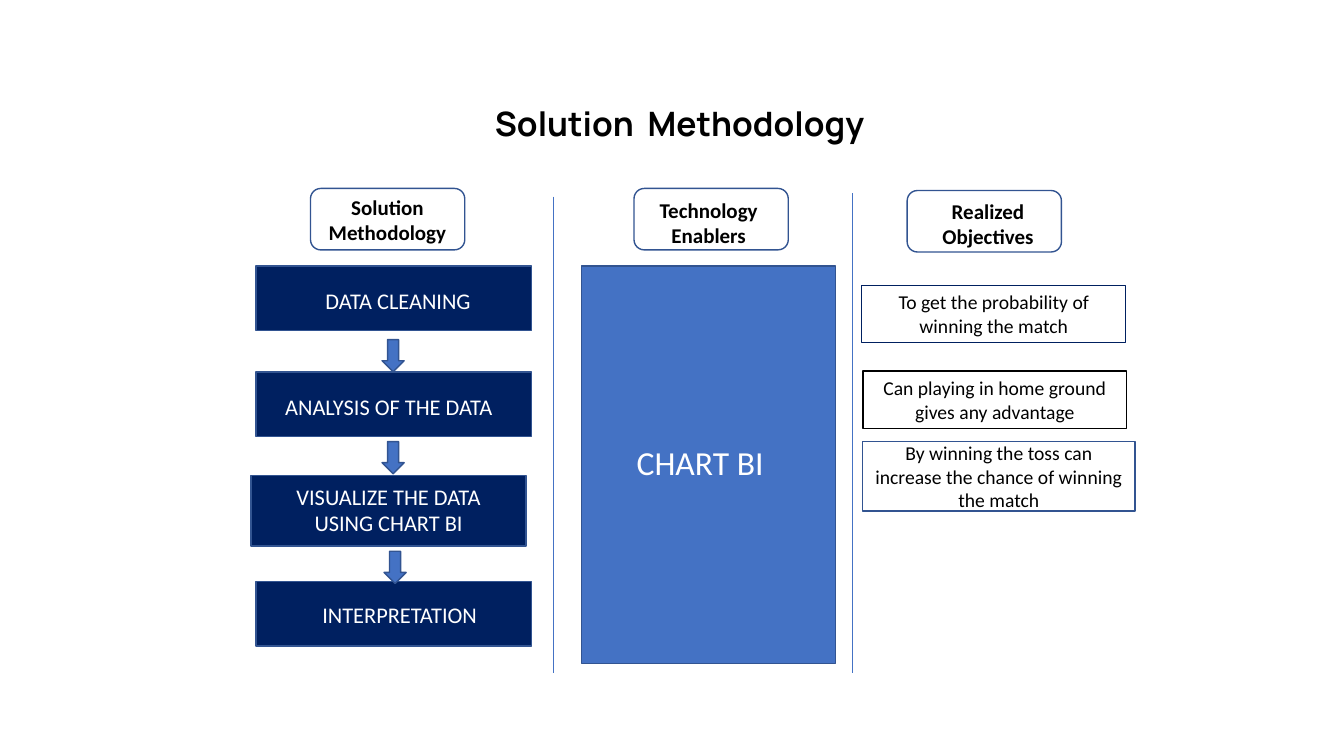
from lxml.etree import SubElement
from pptx import Presentation
from pptx.dml.color import RGBColor
from pptx.enum.shapes import MSO_CONNECTOR, MSO_SHAPE
from pptx.enum.text import MSO_ANCHOR, PP_ALIGN
from pptx.oxml.ns import qn
from pptx.util import Pt

WHITE = RGBColor(0xFF, 0xFF, 0xFF)
BLACK = RGBColor(0x00, 0x00, 0x00)
NAVY = RGBColor(0x00, 0x20, 0x60)
BLUE = RGBColor(0x44, 0x72, 0xC4)
OUTLINE = RGBColor(0x32, 0x54, 0x91)

HEADERS = [
    ("Solution Methodology", (221.8, 134.6), (226.8, 135.4, 100)),
    ("Technology Enablers", (452.9, 134.6), (457.2, 137.5, 98)),
    ("Realized Objectives", (648, 136.1), (655.2, 138.2, 101)),
]
STEPS = [
    ("DATA CLEANING", (182.9, 190.1, 46.1), (225.4, 201.6, 126), PP_ALIGN.LEFT),
    ("ANALYSIS OF THE DATA", (182.9, 265.7, 46.1), (196.6, 277.2, 166.3), PP_ALIGN.LEFT),
    ("VISUALIZE THE DATA USING CHART BI", (179.3, 339.8, 50.4), (194.4, 341.3, 166.3), PP_ALIGN.CENTER),
    ("INTERPRETATION", (182.9, 415.4, 46.1), (202.3, 425.5, 166.3), PP_ALIGN.CENTER),
]
ARROWS = [(272.9, 242.6), (272.9, 315.4), (274.3, 393.8)]
OBJECTIVES = [
    ("To get the probability of winning the match",
     (615.6, 203.8, 188.6, 41), NAVY, 0.75, MSO_ANCHOR.TOP),
    ("Can playing in home ground gives any advantage",
     (616.3, 265, 188.6, 41), BLACK, 1, MSO_ANCHOR.TOP),
    ("By winning the toss can increase the chance of winning the match",
     (616.3, 315.4, 194.4, 49.7), OUTLINE, 1, MSO_ANCHOR.MIDDLE),
]
DIVIDERS = [(395.3, 140.4), (609.1, 138.2)]
DIVIDER_BOTTOM = 481


def style_run(run, size, color, font="Calibri", bold=False):
    run.font.name = font
    run.font.size = Pt(size)
    run.font.color.rgb = color
    run.font.bold = bold


def write_text(frame, text, size, color, align=PP_ALIGN.CENTER, bold=False):
    frame.word_wrap = True
    frame.text = text
    paragraph = frame.paragraphs[0]
    paragraph.alignment = align
    style_run(paragraph.runs[0], size, color, bold=bold)


def add_block(slide, kind, bounds, fill=None, line=OUTLINE, weight=1):
    block = slide.shapes.add_shape(kind, *map(Pt, bounds))
    block.shadow.inherit = False
    if fill is None:
        block.fill.background()
    else:
        block.fill.solid()
        block.fill.fore_color.rgb = fill
    block.line.color.rgb = line
    block.line.width = Pt(weight)
    return block


def add_label(slide, bounds, text, size, color, align=PP_ALIGN.CENTER, bold=False):
    label = slide.shapes.add_textbox(*map(Pt, bounds))
    write_text(label.text_frame, text, size, color, align, bold)


def add_title(slide):
    title = slide.shapes.add_textbox(Pt(353.5), Pt(73.4), Pt(308.9), Pt(28.8))
    frame = title.text_frame
    frame.word_wrap = True
    frame.margin_left = frame.margin_right = 0
    frame.margin_top = frame.margin_bottom = 0
    for part in ("Solution", " ", "Methodology"):
        run = frame.paragraphs[0].add_run()
        run.text = part
        style_run(run, 24, BLACK, "Manrope", True)
        if part == " ":
            run.font._element.set("spc", "500")


def add_objective(slide, text, bounds, line, weight, anchor):
    box = add_block(slide, MSO_SHAPE.RECTANGLE, bounds, WHITE, line, weight)
    write_text(box.text_frame, text, 14, BLACK)
    box.text_frame.vertical_anchor = anchor


def add_divider(slide, x, top):
    divider = slide.shapes.add_connector(
        MSO_CONNECTOR.STRAIGHT, Pt(x), Pt(top), Pt(x), Pt(DIVIDER_BOTTOM))
    divider.line.color.rgb = BLUE
    divider.line.width = Pt(0.5)
    SubElement(divider._element.spPr, qn("a:effectLst"))


def main():
    deck = Presentation()
    deck.slide_width, deck.slide_height = Pt(960), Pt(540)
    slide = deck.slides.add_slide(deck.slide_layouts[6])

    add_title(slide)
    for text, corner, (left, top, width) in HEADERS:
        add_block(slide, MSO_SHAPE.ROUNDED_RECTANGLE, (*corner, 110.2, 43.9))
        add_label(slide, (left, top, width, 43.9), text, 15, BLACK, bold=True)
    for text, (left, top, height), (text_left, text_top, width), align in STEPS:
        add_block(slide, MSO_SHAPE.RECTANGLE, (left, top, 196.6, height), NAVY)
        add_label(slide, (text_left, text_top, width, 26.6), text, 16, WHITE, align)
    for corner in ARROWS:
        add_block(slide, MSO_SHAPE.DOWN_ARROW, (*corner, 15.8, 23), BLUE)

    add_block(slide, MSO_SHAPE.RECTANGLE, (415.4, 190.1, 181.4, 283.7), BLUE)
    add_label(slide, (416.9, 311.8, 166.3, 36), "CHART BI", 24, WHITE)
    for objective in OBJECTIVES:
        add_objective(slide, *objective)
    for x, top in DIVIDERS:
        add_divider(slide, x, top)

    deck.save("out.pptx")


if __name__ == "__main__":
    main()
